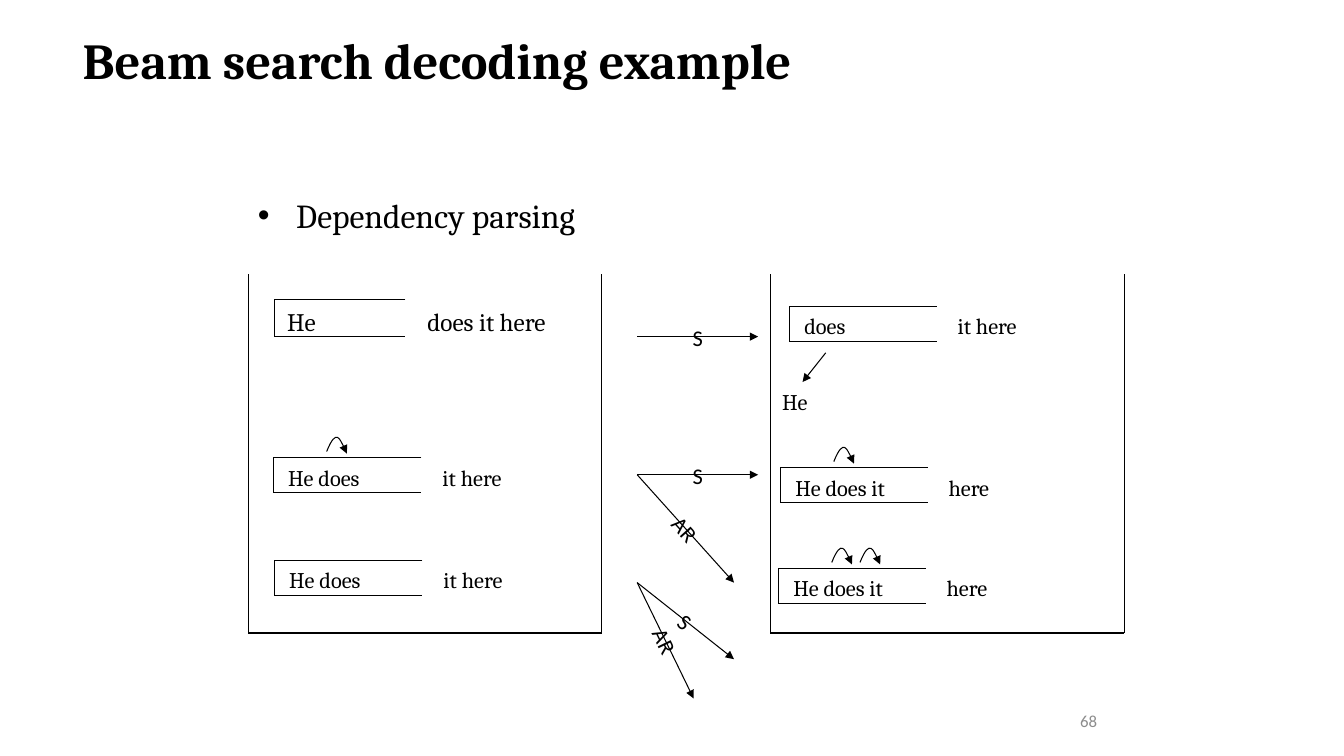
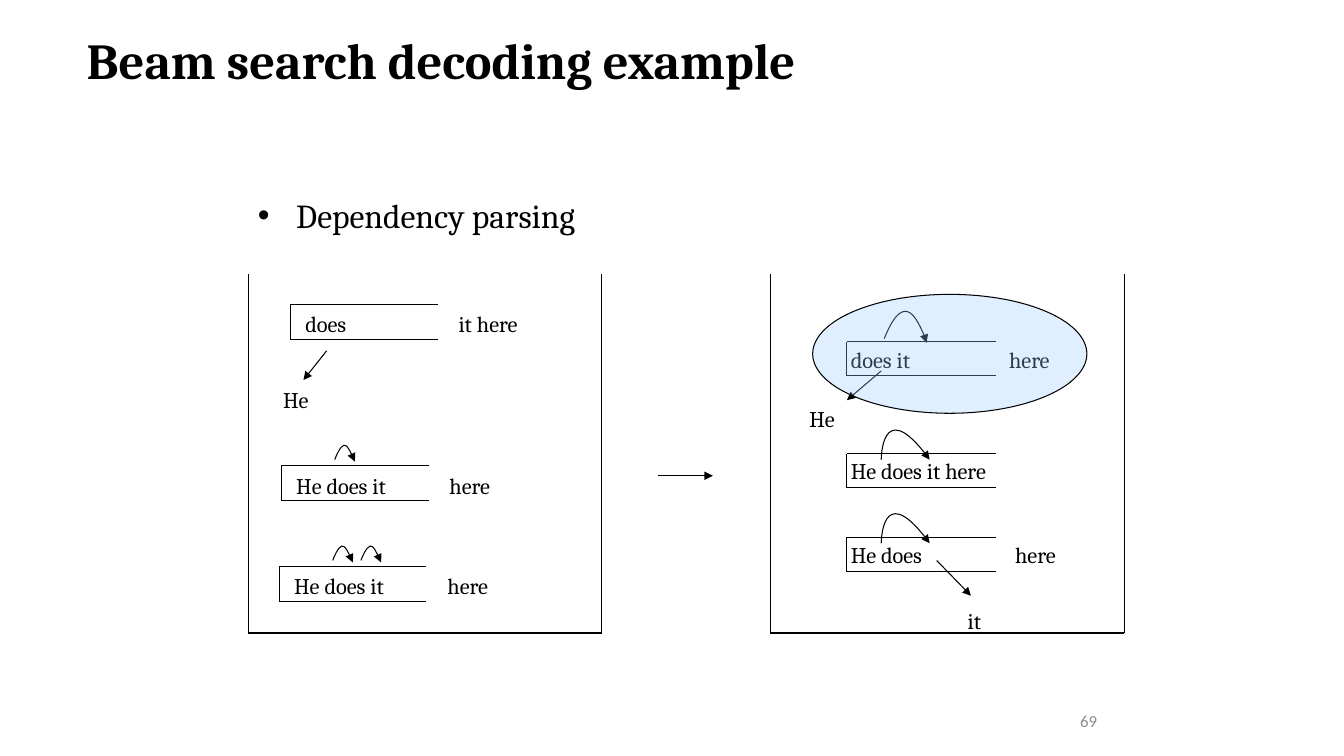
import math

from lxml import etree
from pptx import Presentation
from pptx import util as u
from pptx.dml import color
from pptx.enum import shapes, text
from pptx.oxml.ns import qn

AL = text.PP_ALIGN
ANC = text.MSO_ANCHOR
TITLE_ONLY = 5


def rgb(hex_):
    return color.RGBColor.from_string(hex_)


def write(tf, txt, size=16, font="Cambria", ink="000000", bold=False,
          align=AL.LEFT, anchor=ANC.TOP, ins=(0.1, 0.05), spacing=None, bullet=None):
    """Fill a text frame with one formatted paragraph."""
    tf.word_wrap = True
    tf.auto_size = text.MSO_AUTO_SIZE.NONE
    tf.vertical_anchor = anchor
    tf.margin_left = tf.margin_right = u.Inches(ins[0])
    tf.margin_top, tf.margin_bottom = u.Inches(ins[1]), u.Inches(0.05)
    p = tf.paragraphs[0]
    p.alignment = align
    if spacing:
        p.line_spacing = spacing
    if bullet:
        pPr = p._p.get_or_add_pPr()
        pPr.set("marL", str(u.Inches(0.38)))
        pPr.set("indent", str(u.Inches(-0.38)))
        etree.SubElement(pPr, qn("a:buFont")).set("typeface", "Arial")
        etree.SubElement(pPr, qn("a:buChar")).set("char", bullet)
    r = p.add_run()
    r.text = txt
    r.font.size, r.font.name, r.font.bold = u.Pt(size), font, bold
    r.font.color.rgb = rgb(ink)


class Deck:
    INK, GREY, HIGHLIGHT = "000000", "8C8C8C", "99CCFF"
    LINE = 0.75

    def __init__(self):
        self.prs = Presentation()
        self.prs.slide_width, self.prs.slide_height = u.Inches(13.33), u.Inches(7.5)
        self.s = None

    def slide(self, title, topic, number, title_x):
        """Start a slide with title, topic bullet, page number and two panels."""
        self.s = self.prs.slides.add_slide(self.prs.slide_layouts[TITLE_ONLY])
        sp = self.s.shapes.title
        sp.left, sp.top, sp.width, sp.height = map(u.Inches, (title_x, 0.24, 7.8, 0.71))
        write(sp.text_frame, title, size=36, bold=True)
        self.text(topic, 2.46, 1.68, 7.71, 0.64, size=24, spacing=1.5, bullet="•")
        self.text(str(number), 8.73, 6.95, 2.25, 0.4, size=12, font="Calibri",
                  ink=self.GREY, align=AL.RIGHT, anchor=ANC.MIDDLE)
        for x in (2.46, 7.64):
            self.outline((x, 2.72), (x, 6.28), (x + 3.51, 6.28), (x + 3.51, 2.72))

    def text(self, txt, x, y, w=2.14, h=0.37, rot=0, **fmt):
        sp = self.s.shapes.add_textbox(*map(u.Inches, (x, y, w, h)))
        sp.rotation = rot
        write(sp.text_frame, txt, **fmt)

    def stroke(self, sp, arrow):
        sp.line.color.rgb = rgb(self.INK)
        sp.line.width = u.Pt(self.LINE)
        if arrow:
            ln = sp.element.find(".//" + qn("a:ln"))
            etree.SubElement(ln, qn("a:tailEnd")).set("type", "triangle")

    def line(self, start, end, arrow=False):
        sp = self.s.shapes.add_connector(shapes.MSO_CONNECTOR.STRAIGHT,
                                         *map(u.Inches, (*start, *end)))
        self.stroke(sp, arrow)
        etree.SubElement(sp.element.spPr, qn("a:effectLst"))

    def outline(self, *points):
        for start, end in zip(points, points[1:]):
            self.line(start, end)

    def curve(self, *points):
        """Arrow along a cubic Bezier of four points, then straight to any others."""
        start, *rest = [tuple(map(u.Inches, xy)) for xy in points]
        fb = self.s.shapes.build_freeform(*start)
        fb.add_line_segments(rest, close=False)
        sp = fb.convert_to_shape()
        # Turn the first three segments into one Bezier segment
        segments = sp.element.findall(".//" + qn("a:lnTo"))[:3]
        bezier = etree.Element(qn("a:cubicBezTo"))
        segments[0].addprevious(bezier)
        for seg in segments:
            bezier.append(seg[0])
            seg.getparent().remove(seg)
        sp.fill.background()
        sp.shadow.inherit = False
        self.stroke(sp, True)

    def arc(self, x, y, scale=1):
        steps = ((0, 0), (0.1, -0.25), (0.2, 0.01), (0.2, 0.01), (0.2, 0.02))
        self.curve(*((x + scale * dx, y + scale * dy) for dx, dy in steps))

    def state(self, x, y, stack, buffer="", w=1.47, h=0.35, pad=(0.05, 0),
              gap=0.11, size=16, arcs=()):
        """Parser state: stack open to the right, buffer beside it, arcs above."""
        self.outline((x + w, y), (x, y), (x, y + h), (x + w, y + h))
        dx, dy = pad
        self.text(stack, x + dx, y + dy, size=size, ins=(0.1, 0.06))
        if buffer:
            self.text(buffer, x + w + gap, y + dy, size=size, ins=(0.1, 0.06))
        for offset in arcs:
            self.arc(x + offset, y - 0.06)

    def child(self, txt, start, end, at):
        """Word removed from the stack, with the arrow from its head."""
        self.line(start, end, arrow=True)
        self.text(txt, *at, w=1.5, ins=(0.1, 0.06))

    def action(self, txt, start, end):
        """Arrow with its label centred on it and turned along it."""
        self.line(start, end, arrow=True)
        dx, dy = end[0] - start[0], end[1] - start[1]
        w, h = math.hypot(dx, dy), 0.37
        self.text(txt, (start[0] + end[0] - w) / 2, (start[1] + end[1] - h) / 2, w, h,
                  rot=math.degrees(math.atan2(dy, dx)), font="Calibri",
                  align=AL.CENTER, anchor=ANC.MIDDLE, ins=(0.09, 0.06))

    def highlight(self, x, y, w, h):
        sp = self.s.shapes.add_shape(shapes.MSO_SHAPE.OVAL, *map(u.Inches, (x, y, w, h)))
        sp.shadow.inherit = False
        sp.fill.solid()
        sp.fill.fore_color.rgb = rgb(self.HIGHLIGHT)
        clr = sp.element.spPr.find(qn("a:solidFill"))[0]
        etree.SubElement(clr, qn("a:alpha")).set("val", "30000")
        self.stroke(sp, False)

    def second_beam(self, x, y):
        """Beam that ends the first slide and begins the next one."""
        self.state(x, y, "does", "it here", w=1.46)
        self.child("He", (x + 0.36, y + 0.46), (x + 0.13, y + 0.75), (x - 0.17, y + 0.75))
        self.state(x - 0.09, y + 1.6, "He does it", "here", w=1.46, arcs=(0.53,))
        self.state(x - 0.11, y + 2.6, "He does it", "here", w=1.46, arcs=(0.53, 0.81))


def main():
    d = Deck()
    title, topic = "Beam search decoding example", "Dependency parsing"

    # First step: three states expanded by labelled actions
    d.slide(title, topic, 68, 0.72)
    d.state(2.72, 2.97, "He", "does it here", w=1.3, h=0.37, pad=(0.03, 0.01),
            gap=0.12, size=18)
    d.state(2.71, 4.54, "He does", "it here", arcs=(0.53,))
    d.state(2.72, 5.56, "He does", "it here")
    for label, y, end in (("S", 3.34, (7.52, 3.34)), ("S", 4.71, (7.52, 4.71)),
                          ("AR", 4.71, (7.28, 5.78)), ("S", 5.78, (7.28, 6.54)),
                          ("AR", 5.78, (6.88, 6.93))):
        d.action(label, (6.32, y), end)
    d.second_beam(7.83, 3.04)

    # Second step: the best state is highlighted
    d.slide(title, topic, 69, 0.76)
    d.second_beam(2.88, 3.02)
    d.line((6.53, 4.72), (7.07, 4.72), arrow=True)
    for y, stack, buffer, gap in ((3.39, "does it", "here", 0.03),
                                  (4.5, "He does it here", "", 0),
                                  (5.33, "He does", "here", 0.09)):
        d.state(8.4, y, stack, buffer, w=1.48, h=0.34, pad=(-0.06, -0.02), gap=gap)
    d.arc(8.77, 3.36, scale=2.1)
    for y in (4.56, 5.39):
        d.curve((8.74, y), (8.74, y), (8.74, y - 0.66), (9.22, y))
    d.child("He", (8.74, 3.68), (8.4, 3.97), (7.93, 3.96))
    d.child("it", (9.29, 5.56), (9.63, 5.91), (9.5, 5.96))
    d.highlight(8.06, 2.92, 2.72, 1.18)

    d.prs.save("out.pptx")


if __name__ == "__main__":
    main()
